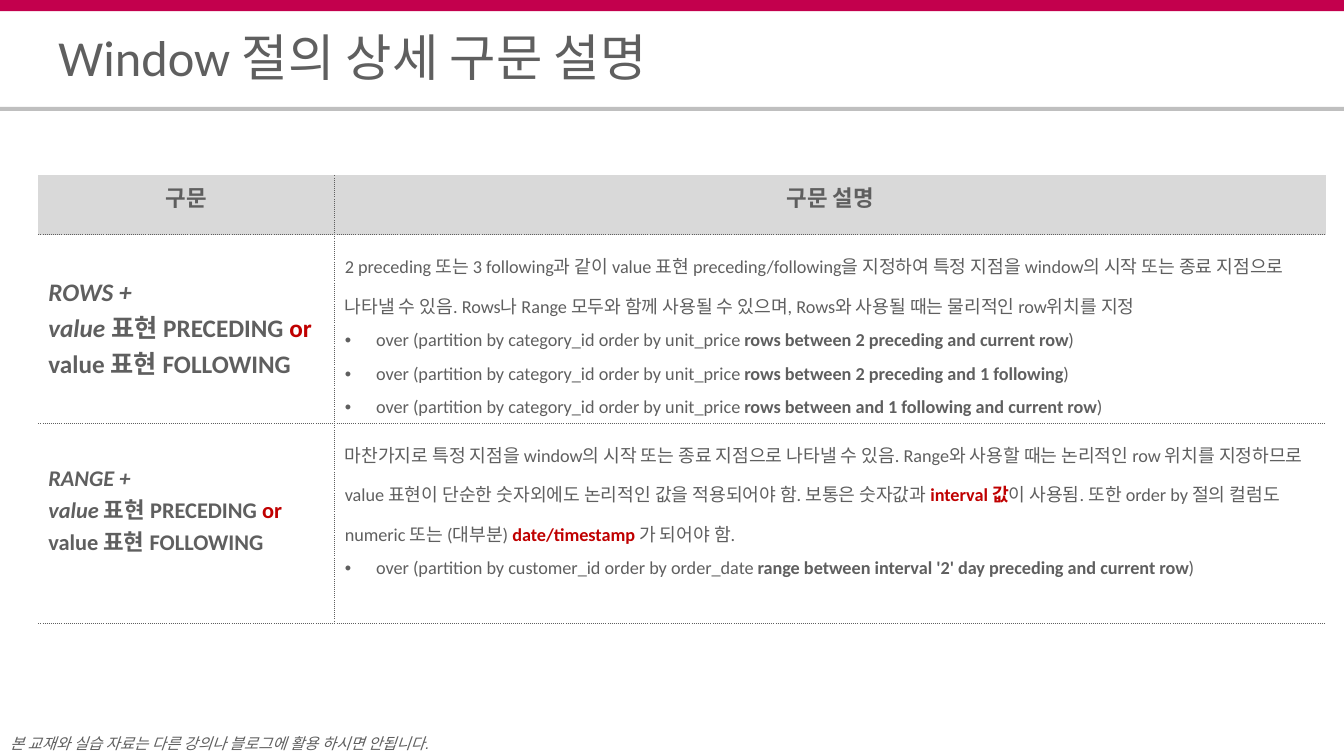
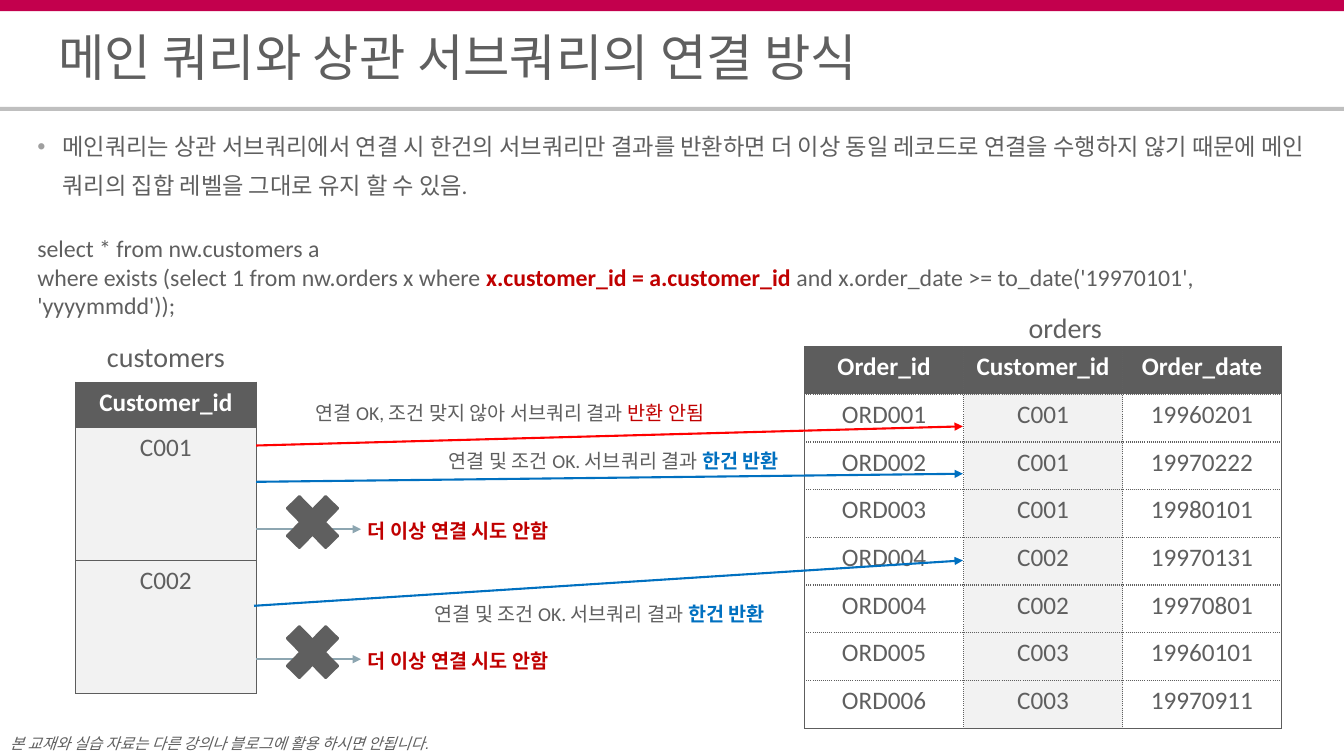
import dataclasses
import lxml.etree
import pptx
import pptx.dml.color
import pptx.enum.shapes
import pptx.enum.text
import pptx.oxml.ns
import pptx.util

RGB = pptx.dml.color.RGBColor
CRIMSON = RGB(0xC3, 0x00, 0x4D)
INK = RGB(0x5F, 0x5F, 0x5F)
FRAME = RGB(0x5D, 0x5D, 0x5D)
RULE = RGB(0xBF, 0xBF, 0xBF)
BULLET = RGB(0x9F, 0x9F, 0x9F)
HEADER = RGB(0xD9, 0xD9, 0xD9)
SHADE = RGB(0xF2, 0xF2, 0xF2)
WHITE = RGB(0xFF, 0xFF, 0xFF)
DEEP_RED = RGB(0xC0, 0x00, 0x00)
RED = RGB(0xFF, 0x00, 0x00)
BLUE = RGB(0x00, 0x70, 0xC0)
STEEL = RGB(0x8D, 0xA6, 0xB1)

LEFT = pptx.enum.text.PP_ALIGN.LEFT
CENTER = pptx.enum.text.PP_ALIGN.CENTER
TOP = pptx.enum.text.MSO_ANCHOR.TOP
MIDDLE = pptx.enum.text.MSO_ANCHOR.MIDDLE

COLUMNS, ROWS = 133.3, 75
TITLE_LAYOUT, BODY_LAYOUT = 5, 1
NO_GRID = "{2D5ABB26-0587-4C30-8999-92F81FD0307C}"
DOTTED = (INK, 1, "sysDot")
SOLID = (FRAME, 0.75, "solid")
NOTICE = "본 교재와 실습 자료는 다른 강의나 블로그에 활용 하시면 안됩니다."


@dataclasses.dataclass
class Run:
    text: str
    color: RGB = INK
    bold: bool = False
    italic: bool = False


@dataclasses.dataclass
class Para:
    runs: list
    align: int = LEFT
    spacing: float = 1.0
    indent: float = 0
    bullet: RGB = None


def add_xml(parent, tag, **attributes):
    return lxml.etree.SubElement(parent, pptx.oxml.ns.qn(tag), **attributes)


class Deck:
    font = "Calibri"

    def __init__(self):
        self.show = pptx.Presentation()
        self.show.slide_width = pptx.util.Inches(13.33)
        self.show.slide_height = pptx.util.Inches(7.5)
        self.slide = None

    def x(self, columns):
        return round(self.show.slide_width * columns / COLUMNS)

    def y(self, rows):
        return round(self.show.slide_height * rows / ROWS)

    def box(self, left, top, width, height):
        return self.x(left), self.y(top), self.x(width), self.y(height)

    def start(self, layout, title):
        self.slide = self.show.slides.add_slide(self.show.slide_layouts[layout])
        self.shape("RECTANGLE", (0, 0, COLUMNS, 1.1), CRIMSON)
        self.shape("RECTANGLE", (0, 10.6, COLUMNS, 0.4), RULE)
        self.text((1, 71.9, 48.1, 3.1), [Para([Run(NOTICE, italic=True)], spacing=1.5)], 11, font="Arial")
        self.placeholder(0, (5.8, 3.3, 121.7, 5.8), Para([Run(title)], spacing=0.8), 36, MIDDLE)

    def shape(self, kind, place, fill, line=None):
        preset = pptx.enum.shapes.MSO_SHAPE[kind]
        shape = self.slide.shapes.add_shape(preset, *self.box(*place))
        shape.shadow.inherit = False
        shape.fill.solid()
        shape.fill.fore_color.rgb = fill
        if line:
            shape.line.color.rgb = line
            shape.line.width = pptx.util.Pt(1.5)
        else:
            shape.line.fill.background()

    def fill_text(self, frame, paragraphs, size, font=None):
        for number, para in enumerate(paragraphs):
            line = frame.add_paragraph() if number else frame.paragraphs[0]
            if para.indent:
                self.bullet(line, para)
            line.alignment = para.align
            line.line_spacing = para.spacing
            line.space_before = pptx.util.Pt(0)
            for part in para.runs:
                run = line.add_run()
                run.text = part.text
                run.font.name = font or self.font
                run.font.size = pptx.util.Pt(size)
                run.font.bold = part.bold
                run.font.italic = part.italic
                run.font.color.rgb = part.color

    def bullet(self, line, para):
        hang = self.x(para.indent)
        properties = line._p.get_or_add_pPr()
        properties.set("marL", str(hang))
        properties.set("indent", str(-hang))
        add_xml(add_xml(properties, "a:buClr"), "a:srgbClr", val=str(para.bullet))
        add_xml(properties, "a:buFont", typeface="Arial")
        add_xml(properties, "a:buChar", char="•")

    def flush(self, frame, anchor=TOP):
        frame.word_wrap = True
        frame.auto_size = pptx.enum.text.MSO_AUTO_SIZE.NONE
        frame.vertical_anchor = anchor
        frame.margin_left = frame.margin_right = 0
        frame.margin_top = frame.margin_bottom = 0

    def text(self, place, paragraphs, size, font=None):
        frame = self.slide.shapes.add_textbox(*self.box(*place)).text_frame
        self.flush(frame)
        self.fill_text(frame, paragraphs, size, font)

    def placeholder(self, index, place, para, size, anchor=TOP):
        holder = self.slide.placeholders[index]
        holder.left, holder.top, holder.width, holder.height = self.box(*place)
        self.flush(holder.text_frame, anchor)
        self.fill_text(holder.text_frame, [para], size)

    def arrow(self, start, end, color, width=1.5):
        straight = pptx.enum.shapes.MSO_CONNECTOR.STRAIGHT
        ends = [self.x(start[0]), self.y(start[1]), self.x(end[0]), self.y(end[1])]
        arrow = self.slide.shapes.add_connector(straight, *ends)
        arrow.line.color.rgb = color
        arrow.line.width = pptx.util.Pt(width)
        add_xml(arrow.line._get_or_add_ln(), "a:tailEnd", type="triangle")
        add_xml(arrow._element.spPr, "a:effectLst")

    def table(self, left, top, widths, heights, inner, outer):
        place = self.box(left, top, sum(widths), sum(heights))
        table = self.slide.shapes.add_table(len(heights), len(widths), *place).table
        table.first_row = table.horz_banding = False
        table._tbl.tblPr.find(pptx.oxml.ns.qn("a:tableStyleId")).text = NO_GRID
        for column, width in zip(table.columns, widths):
            column.width = self.x(width)
        for row, height in zip(table.rows, heights):
            row.height = self.y(height)
        for r in range(len(heights)):
            for c in range(len(widths)):
                at_edge = {"L": c == 0, "R": c == len(widths) - 1, "T": r == 0, "B": r == len(heights) - 1}
                sides = {side: outer.get(side) if edge else inner for side, edge in at_edge.items()}
                self.borders(table.cell(r, c), sides)
        return table

    def borders(self, cell, sides):
        properties = cell._tc.get_or_add_tcPr()
        for side, style in sides.items():
            if style:
                color, width, dash = style
                line = add_xml(properties, "a:ln" + side, w=str(pptx.util.Pt(width)))
                add_xml(add_xml(line, "a:solidFill"), "a:srgbClr", val=str(color))
                add_xml(line, "a:prstDash", val=dash)

    def cell(self, cell, paragraphs, size, fill=None, anchor=TOP):
        cell.vertical_anchor = anchor
        if fill:
            cell.fill.solid()
            cell.fill.fore_color.rgb = fill
        else:
            cell.fill.background()
        self.fill_text(cell.text_frame, paragraphs, size)


def syntax_name(keyword):
    return [
        Para([Run(keyword + " +", bold=True, italic=True)]),
        Para([
            Run("value ", bold=True, italic=True),
            Run("표현 PRECEDING ", bold=True),
            Run("or", DEEP_RED, bold=True),
            Run(" value 표현 FOLLOWING", bold=True),
        ]),
    ]


def over_example(opening, window):
    runs = [Run(f"over (partition by {opening} "), Run(window, bold=True), Run(")")]
    return Para(runs, spacing=1.5, indent=3.1, bullet=INK)


def window_slide(deck):
    deck.start(TITLE_LAYOUT, "Window 절의 상세 구문 설명")
    syntax = deck.table(3.8, 17.4, [29.4, 98.3], [5.9, 18.5, 19.9], DOTTED, {"B": DOTTED})
    for column, heading in enumerate(["구문", "구문 설명"]):
        deck.cell(syntax.cell(0, column), [Para([Run(heading, bold=True)], CENTER)], 16, HEADER)

    deck.cell(syntax.cell(1, 0), syntax_name("ROWS"), 18, anchor=MIDDLE)
    deck.cell(syntax.cell(2, 0), syntax_name("RANGE"), 16, anchor=MIDDLE)
    syntax.cell(2, 0).margin_bottom = deck.y(3)

    rows_text = (
        "2 preceding 또는 3 following과 같이 value 표현 preceding/following을 지정하여 특정 지점을 "
        "window의 시작 또는 종료 지점으로 나타낼 수 있음. Rows나 Range 모두와 함께 사용될 수 있으며, "
        "Rows와 사용될 때는 물리적인 row위치를 지정"
    )
    windows = [
        "rows between 2 preceding and current row",
        "rows between 2 preceding and 1 following",
        "rows between and 1 following and current row",
    ]
    examples = [over_example("category_id order by unit_price", window) for window in windows]
    deck.cell(syntax.cell(1, 1), [Para([Run(rows_text)], spacing=1.5)] + examples, 13)

    range_runs = [
        Run("마찬가지로 특정 지점을 window의 시작 또는 종료 지점으로 나타낼 수 있음. Range와 사용할 때는 "
            "논리적인 row 위치를 지정하므로 value 표현이 단순한 숫자외에도 논리적인 값을 적용되어야 함. "
            "보통은 숫자값과 "),
        Run("interval 값", DEEP_RED, bold=True),
        Run("이 사용됨. 또한 order by 절의 컬럼도 numeric 또는 (대부분) "),
        Run("date/timestamp ", DEEP_RED, bold=True),
        Run("가 되어야 함."),
    ]
    range_example = over_example(
        "customer_id order by order_date",
        "range between interval '2' day preceding and current row",
    )
    deck.cell(syntax.cell(2, 1), [Para(range_runs, spacing=1.5), range_example], 13)


def data_table(deck, left, top, widths, heights, inner, records, shaded):
    table = deck.table(left, top, widths, heights, inner, dict.fromkeys("LRTB", SOLID))
    for r, record in enumerate(records):
        for c, value in enumerate(record):
            run = Run(value) if r else Run(value, WHITE, bold=True)
            fill = (SHADE if c == shaded else None) if r else FRAME
            deck.cell(table.cell(r, c), [Para([run], CENTER)], 18, fill)


def subquery_slide(deck):
    deck.start(BODY_LAYOUT, "메인 쿼리와 상관 서브쿼리의 연결 방식")
    summary = (
        "메인쿼리는 상관 서브쿼리에서 연결 시 한건의 서브쿼리만 결과를 반환하면 더 이상 동일 레코드로 "
        "연결을 수행하지 않기 때문에 메인 쿼리의 집합 레벨을 그대로 유지 할 수 있음."
    )
    summary_para = Para([Run(summary)], spacing=1.4, indent=2.5, bullet=BULLET)
    deck.placeholder(1, (3.7, 12, 126.5, 8), summary_para, 16.6)
    deck.text((3.7, 23.2, 128.6, 9), [
        Para([Run("select * from nw.customers a")]),
        Para([
            Run("where exists (select 1 from nw.orders x where "),
            Run("x.customer_id = a.customer_id ", DEEP_RED, bold=True),
            Run("and x.order_date >= to_date('19970101', 'yyyymmdd'));"),
        ]),
    ], 17)

    for name, left, top in [("customers", 7.5, 33.3), ("orders", 96.7, 30.5)]:
        deck.text((left, top, 17.9, 3.9), [Para([Run(name)], CENTER, 1.1)], 20)
    customers = [["Customer_id"], ["C001"], ["C002"]]
    data_table(deck, 7.5, 37.9, [17.9], [4.5, 13.2, 13.2], SOLID, customers, 0)
    orders = [
        ["Order_id", "Customer_id", "Order_date"],
        ["ORD001", "C001", "19960201"],
        ["ORD002", "C001", "19970222"],
        ["ORD003", "C001", "19980101"],
        ["ORD004", "C002", "19970131"],
        ["ORD004", "C002", "19970801"],
        ["ORD005", "C003", "19960101"],
        ["ORD006", "C003", "19970911"],
    ]
    data_table(deck, 79.8, 34.4, [15.77] * 3, [4.73] * 8, DOTTED, orders, 1)

    matched = [Run("연결 및 조건 OK. 서브쿼리 결과 "), Run("한건 반환", BLUE, bold=True)]
    rejected = [Run("연결 OK, 조건 맞지 않아 서브쿼리 결과 "), Run("반환 안됨", DEEP_RED)]
    links = [
        ((25.4, 44.2), 42.3, RED, (31.3, 39.5), rejected),
        ((25.4, 47.8), 47, BLUE, (44.5, 44.3), matched),
        ((25.2, 60.1), 55.6, BLUE, (43.1, 59.5), matched),
    ]
    for start, end_row, color, label, runs in links:
        deck.arrow(start, (95.5, end_row), color)
        deck.text((*label, 43, 3.4), [Para(runs, spacing=1.1)], 14)

    for row in (52.5, 65.4):
        deck.arrow((25.4, row), (35.8, row), STEEL)
        deck.shape("MATH_MULTIPLY", (27.3, row - 4.5, 7.4, 7.6), INK, INK)
        stopped = Run("더 이상 연결 시도 안함", DEEP_RED, bold=True)
        deck.text((36.5, row - 1.3, 43, 3.4), [Para([stopped], spacing=1.1)], 14)


def main():
    deck = Deck()
    window_slide(deck)
    subquery_slide(deck)
    deck.show.save("out.pptx")


if __name__ == "__main__":
    main()
